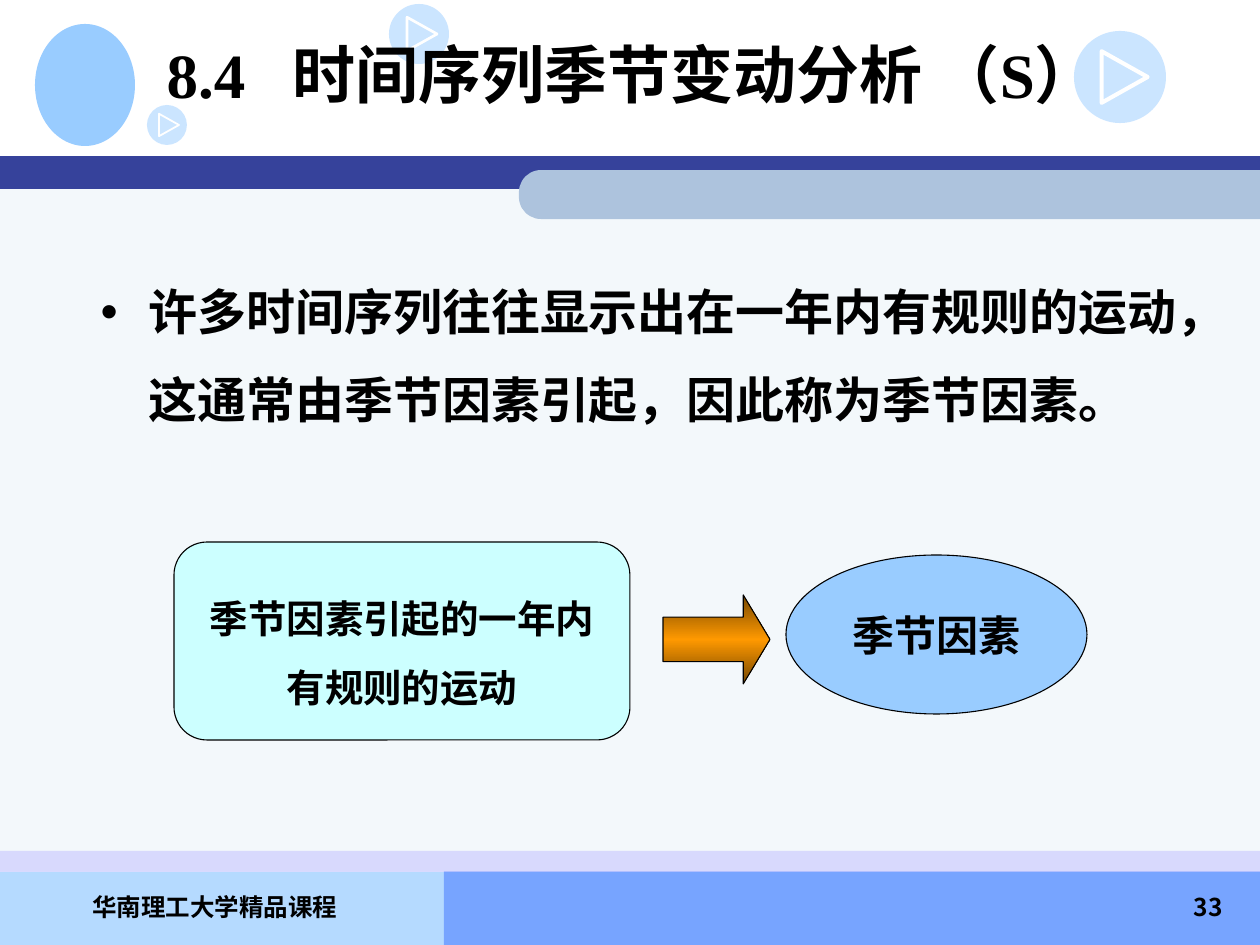
from copy import deepcopy
from dataclasses import dataclass

from lxml import etree
from pptx import Presentation
from pptx import util as u
from pptx.dml.color import RGBColor
from pptx.enum import shapes, text
from pptx.oxml.ns import qn


@dataclass(frozen=True)
class Theme:
    ink: str = "000000"
    white: str = "FFFFFF"
    panel: str = "F3F8FB"
    navy: str = "36429B"
    steel: str = "ADC3DD"
    lavender: str = "CCCCFF"
    footer_left: str = "B5DAFF"
    footer_right: str = "77A4FF"
    sky: str = "99CCFF"
    mint: str = "CCFFFF"
    arrow_edge: str = "764700"
    arrow_mid: str = "FF9900"
    outline: float = 0.62
    title: int = 36
    body: int = 28
    effect: int = 24
    cause: int = 22
    footer: int = 14
    serif: str = "Times New Roman"
    sans: str = "Noto Sans CJK SC"
    footer_face: str = "Noto Sans CJK KR"


T = Theme()
PX = 914400 / 126
W, H = 1260, 945
KIND = shapes.MSO_SHAPE
ALIGN = text.PP_ALIGN

TITLE = "8.4\t时间序列季节变动分析 （S）"
TITLE_BOX = (154, 0, 1071, 147)
TITLE_TAB = 126
BODY = "许多时间序列往往显示出在一年内有规则的运动，这通常由季节因素引起，因此称为季节因素。"
BODY_BOX = (88, 246, 1102, 267)
BODY_INDENT = 48
CAUSE = "季节因素引起的一年内\n有规则的运动"
EFFECT = "季节因素"

BANDS = [
    ((0, 872, 444, 73), T.footer_left, 100),
    ((444, 871, W - 444, 74), T.footer_right, 100),
    ((0, 176, W, 695), T.panel, 100),
    ((0, 156, W, 33), T.navy, 100),
    ((0, 851, W, 21), T.lavender, 69),
]
TAB_BAR = (519, 170, W - 519, 49)
EMBLEM = (35, 24, 100, 122)
PLAY_ICONS = [(389, 4, 60), (1074, 31, 92), (147, 105, 40)]
FOOTERS = [
    ("华南理工大学精品课程", (15, 886, 400, 59), ALIGN.CENTER, T.footer_face),
    ("33", (973, 886, 262, 59), ALIGN.RIGHT, T.sans),
]


def px(n):
    return u.Emu(round(n * PX))


def rgb(c):
    return RGBColor.from_string(c)


def place(sp, box):
    sp.left, sp.top, sp.width, sp.height = map(px, box)


def paint(sp, color, alpha=100, line=None):
    sp.shadow.inherit = False
    if color:
        sp.fill.solid()
        sp.fill.fore_color.rgb = rgb(color)
        if alpha < 100:
            clr = sp._element.spPr.find(qn("a:solidFill"))[0]
            etree.SubElement(clr, qn("a:alpha"), val=str(alpha * 1000))
    else:
        sp.fill.background()
    if line:
        sp.line.color.rgb = rgb(line[0])
        sp.line.width = line[1]
    else:
        sp.line.fill.background()


def add_shape(s, kind, box, color, alpha=100, line=None):
    sp = s.shapes.add_shape(kind, *map(px, box))
    paint(sp, color, alpha, line)
    return sp


def write(sp, content, size, face, align, anchor, spacing=None, wrap=True):
    tf = sp.text_frame
    tf.text = content
    tf.word_wrap = wrap
    tf.auto_size = text.MSO_AUTO_SIZE.NONE
    tf.vertical_anchor = anchor
    for p in tf.paragraphs:
        p.alignment = align
        p.space_before = u.Pt(0)
        if spacing:
            p.line_spacing = spacing
        for r in p.runs:
            r.font.size = u.Pt(size)
            r.font.bold = True
            r.font.name = face
            r.font.color.rgb = rgb(T.ink)
            east = T.sans if face == T.serif else face
            etree.SubElement(r._r.get_or_add_rPr(), qn("a:ea"), typeface=east)
    return tf


def add_play_icon(s, x, y, d):
    add_shape(s, KIND.OVAL, (x, y, d, d), T.sky, 50)
    fb = s.shapes.build_freeform(px(x + 0.3 * d), px(y + 0.22 * d))
    fb.add_line_segments([(px(x + 0.8 * d), px(y + 0.5 * d)),
                          (px(x + 0.3 * d), px(y + 0.78 * d))], close=True)
    paint(fb.convert_to_shape(), None, line=(T.white, px(0.045 * d)))


def add_backdrop(s):
    for box, color, alpha in BANDS:
        add_shape(s, KIND.RECTANGLE, box, color, alpha)
    x, y, w, h = TAB_BAR
    upright = (x + (w - h) / 2, y + (h - w) / 2, h, w)
    bar = add_shape(s, KIND.ROUND_2_SAME_RECTANGLE, upright, T.steel)
    bar.adjustments[0] = 0.45
    bar.rotation = 270
    add_shape(s, KIND.OVAL, EMBLEM, T.sky)
    for icon in PLAY_ICONS:
        add_play_icon(s, *icon)
    for content, box, align, face in FOOTERS:
        sp = s.shapes.add_textbox(*map(px, box))
        write(sp, content, T.footer, face, align, text.MSO_ANCHOR.TOP)


def fill_placeholders(s):
    title, body = s.shapes.title, s.placeholders[1]
    for sp, box in ((title, TITLE_BOX), (body, BODY_BOX)):
        s.shapes._spTree.append(sp._element)
        place(sp, box)
    tf = write(title, TITLE, T.title, T.serif, ALIGN.LEFT, text.MSO_ANCHOR.MIDDLE)
    tabs = etree.SubElement(tf.paragraphs[0]._p.get_or_add_pPr(), qn("a:tabLst"))
    etree.SubElement(tabs, qn("a:tab"), pos=str(px(TITLE_TAB)), algn="l")

    tf = write(body, BODY, T.body, T.serif, ALIGN.LEFT, text.MSO_ANCHOR.TOP, 1.5)
    pPr = tf.paragraphs[0]._p.get_or_add_pPr()
    pPr.set("marL", str(px(BODY_INDENT)))
    pPr.set("indent", str(-px(BODY_INDENT)))
    etree.SubElement(pPr, qn("a:buChar"), char="•")


def add_flow(s):
    line = (T.ink, u.Pt(T.outline))
    middle = text.MSO_ANCHOR.MIDDLE
    effect = add_shape(s, KIND.OVAL, (786, 555, 301, 159), T.sky, line=line)
    write(effect, EFFECT, T.effect, T.sans, ALIGN.CENTER, middle, wrap=False)
    cause = add_shape(s, KIND.ROUNDED_RECTANGLE, (174, 542, 456, 198), T.mint, line=line)
    write(cause, CAUSE, T.cause, T.sans, ALIGN.CENTER, middle, 1.5, wrap=False)

    arrow = add_shape(s, KIND.RIGHT_ARROW, (663, 595, 107, 89), T.arrow_mid, line=line)
    arrow.adjustments[1] = 0.3
    arrow.fill.gradient()
    arrow.fill.gradient_angle = 90
    first = arrow._element.spPr.find(".//" + qn("a:gs"))
    mid = deepcopy(first)
    mid.set("pos", "50000")
    first.addnext(mid)
    colors = (T.arrow_edge, T.arrow_mid, T.arrow_edge)
    for stop, color in zip(arrow.fill.gradient_stops, colors):
        stop.color.rgb = rgb(color)


def main():
    prs = Presentation()
    prs.slide_width, prs.slide_height = px(W), px(H)
    s = prs.slides.add_slide(prs.slide_layouts[1])
    add_backdrop(s)
    fill_placeholders(s)
    add_flow(s)
    prs.save("out.pptx")


if __name__ == "__main__":
    main()
